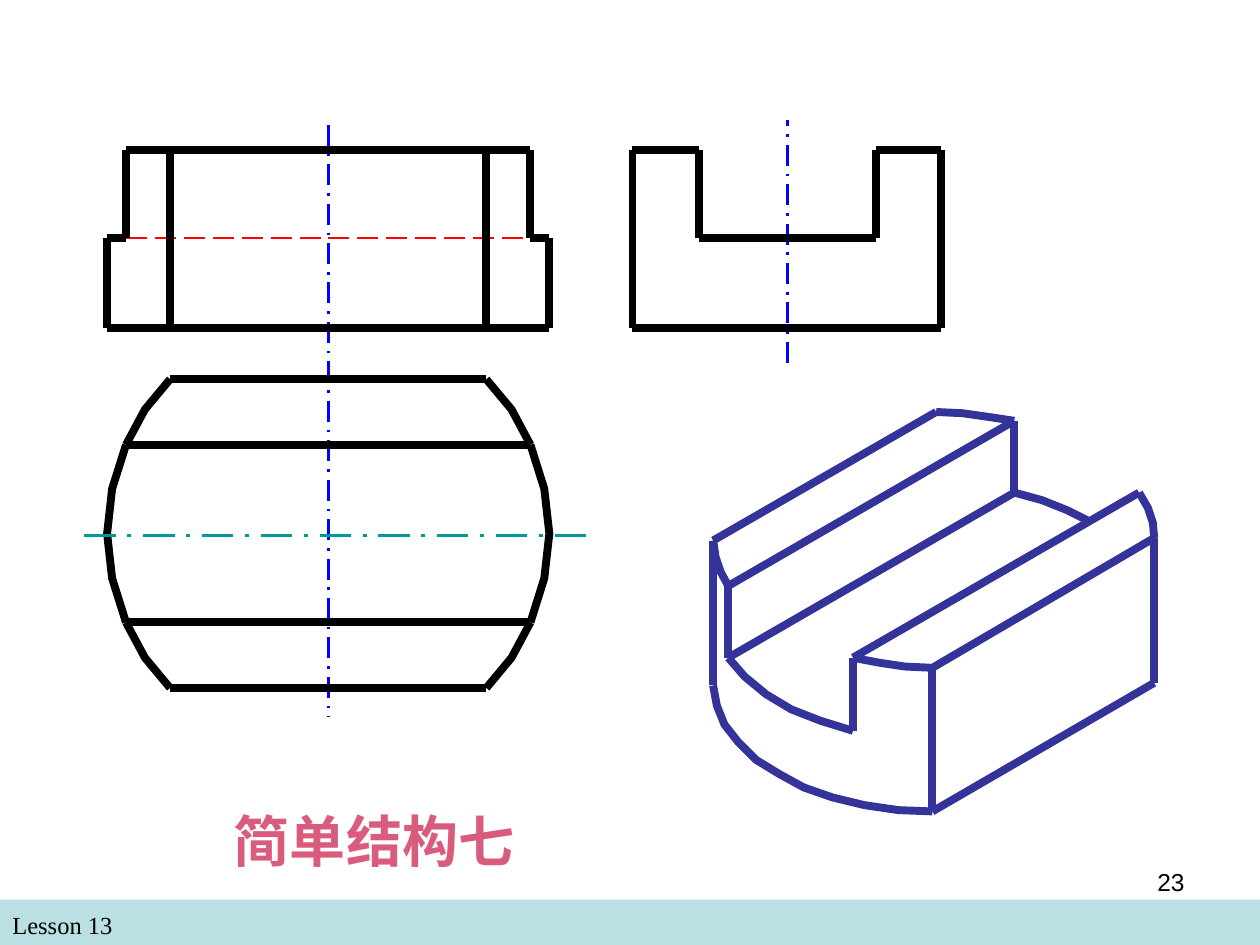
from lxml.etree import SubElement
from pptx import Presentation
from pptx.dml.color import RGBColor
from pptx.enum.dml import MSO_LINE
from pptx.enum.shapes import MSO_CONNECTOR, MSO_SHAPE
from pptx.enum.text import PP_ALIGN
from pptx.oxml.ns import qn
from pptx.util import Cm, Pt

COLORS = {
    "band": "BBE0E3", "text": "000000", "title": "DA5C7D", "outline": "000000",
    "solid": "333399", "axis": "0000FF", "hidden": "FF0000", "middle": "009999",
}
CM_PER_INCH = 2.54

SOLID_EDGES = [
    [(9.16, 5.42), (7.4, 6.44)],
    [(9.16, 4.27), (7.4, 5.3)],
    [(9.16, 5.42), (9.16, 4.27)],
    [(9.16, 4.27), (9.15, 4.15), (9.11, 4.03), (9.04, 3.91)],
    [(5.66, 4.29), (7.43, 3.27)],
    [(8.05, 3.34), (7.85, 3.31), (7.64, 3.28), (7.43, 3.27)],
    [(6.77, 5.22), (6.98, 5.26), (7.18, 5.29), (7.4, 5.3)],
    [(7.4, 6.44), (7.4, 5.3)],
    [(5.66, 5.44), (5.69, 5.6), (5.75, 5.75), (5.86, 5.89), (6, 6.03), (6.18, 6.14),
     (6.38, 6.25), (6.61, 6.33), (6.86, 6.39), (7.13, 6.43), (7.4, 6.44)],
    [(5.66, 5.44), (5.66, 4.29)],
    [(5.66, 4.29), (5.68, 4.42), (5.72, 4.54), (5.78, 4.65)],
    [(9.04, 3.91), (6.77, 5.22)],
    [(6.77, 5.22), (6.77, 5.8)],
    [(5.78, 4.65), (8.05, 3.34)],
    [(8.05, 3.34), (8.05, 3.91)],
    [(5.78, 5.22), (5.78, 4.65)],
    [(8.05, 3.91), (5.78, 5.22)],
    [(8.65, 4.14), (8.47, 4.05), (8.27, 3.97), (8.05, 3.91)],
    [(5.78, 5.22), (5.91, 5.37), (6.08, 5.51), (6.28, 5.63), (6.51, 5.72), (6.77, 5.8)],
]


def length(inches):
    """Convert inches to a length in centimetres."""
    return Cm(inches * CM_PER_INCH)


def color(name):
    """Return the named colour."""
    return RGBColor.from_string(COLORS[name])


def add_edge(group, points, color_name="outline", width=4.5, dash=None):
    """Draw a straight connector for two points, or an open outline for more."""
    corners = [(length(x), length(y)) for x, y in points]
    if len(corners) == 2:
        shape = group.shapes.add_connector(MSO_CONNECTOR.STRAIGHT, *corners[0], *corners[1])
        SubElement(shape._element.spPr, qn("a:effectLst"))
    else:
        builder = group.shapes.build_freeform(*corners[0])
        builder.add_line_segments(corners[1:], close=False)
        shape = builder.convert_to_shape()
        shape.shadow.inherit = False
        shape.fill.background()
    shape.line.color.rgb = color(color_name)
    shape.line.width = Pt(width)
    if dash is not None:
        shape.line.dash_style = dash


def mirror(points, across_x=None, across_y=None):
    """Reflect points across a vertical or a horizontal axis."""
    return [(x if across_x is None else 2 * across_x - x,
             y if across_y is None else 2 * across_y - y) for x, y in points]


def add_text(slide, box, text, size, font_name="Times New Roman",
             color_name="text", bold=False, alignment=PP_ALIGN.LEFT):
    """Add a one-paragraph text box."""
    shape = slide.shapes.add_textbox(*map(length, box))
    shape.text_frame.word_wrap = True
    paragraph = shape.text_frame.paragraphs[0]
    paragraph.alignment = alignment
    run = paragraph.add_run()
    run.text = text
    run.font.name = font_name
    run.font.size = Pt(size)
    run.font.bold = bold
    run.font.color.rgb = color(color_name)


def add_footer(slide):
    """Add the coloured band with the lesson name."""
    band = slide.shapes.add_shape(MSO_SHAPE.RECTANGLE, *map(length, (0, 7.14, 10, 0.36)))
    band.shadow.inherit = False
    band.fill.solid()
    band.fill.fore_color.rgb = color("band")
    band.line.fill.background()
    add_text(slide, (0, 7.17, 4.83, 0.34), "Lesson 13", 14)


def add_solid_view(slide):
    """Draw the isometric view of the part."""
    group = slide.shapes.add_group_shape()
    for points in SOLID_EDGES:
        add_edge(group, points, "solid")


def add_front_view(group, center, top, step, bottom):
    """Draw the front view, symmetric about its vertical axis."""
    outer, shoulder, inner = 0.85, 1, 1.35
    for y in (top, bottom):
        add_edge(group, [(inner, y), (2 * center - inner, y)])
    half = [
        [(outer, bottom), (inner, bottom)],
        [(inner, bottom), (inner, top)],
        [(shoulder, top), (inner, top)],
        [(shoulder, top), (shoulder, step)],
        [(outer, step), (shoulder, step)],
        [(outer, step), (outer, bottom)],
    ]
    add_edge(group, [(shoulder, step), (2 * center - shoulder, step)],
             "hidden", 1.5, MSO_LINE.LONG_DASH)
    for points in half:
        add_edge(group, points)
        add_edge(group, mirror(points, across_x=center))


def add_side_view(group, top, step, bottom):
    """Draw the side view with its open slot."""
    left, slot_left, slot_right, right = 5.02, 5.55, 6.95, 7.47
    outline = [(left, top), (slot_left, top), (slot_left, step), (slot_right, step),
               (slot_right, top), (right, top), (right, bottom), (left, bottom)]
    for start, end in zip(outline, outline[1:] + outline[:1]):
        add_edge(group, [start, end])


def add_top_view(group, center, middle):
    """Draw the top view, symmetric about both axes."""
    for x, y in ((1.35, 3.01), (1, 3.53)):
        points = [(x, y), (2 * center - x, y)]
        add_edge(group, points)
        add_edge(group, mirror(points, across_y=middle))
    corner = [(1.35, 3.01), (1.15, 3.25), (1, 3.53)]
    side = [(1, 3.53), (0.89, 3.88), (0.85, middle), (0.89, 4.59), (1, 4.94)]
    for points in (corner, mirror(corner, across_y=middle), side):
        add_edge(group, points)
        add_edge(group, mirror(points, across_x=center))


def add_projections(slide):
    """Draw the three projected views and their centre lines."""
    group = slide.shapes.add_group_shape()
    center = 2.605
    levels = (1.19, 1.89, 2.6)
    add_edge(group, [(center, 0.99), (center, 5.69)], "axis", 1.5, MSO_LINE.LONG_DASH_DOT)
    add_edge(group, [(6.25, 2.88), (6.25, 0.95)], "axis", 1.5, MSO_LINE.LONG_DASH_DOT)
    add_front_view(group, center, *levels)
    add_side_view(group, *levels)
    add_top_view(group, center, 4.235)
    add_edge(group, [(0.67, 4.25), (4.67, 4.25)], "middle", 2.25, MSO_LINE.LONG_DASH_DOT)


def main():
    """Build and save the slide."""
    presentation = Presentation()
    presentation.slide_width = Cm(25.4)
    presentation.slide_height = Cm(19.05)
    slide = presentation.slides.add_slide(presentation.slide_layouts[6])
    add_footer(slide)
    add_solid_view(slide)
    add_text(slide, (0.67, 6.35, 4.6, 0.64), "简单结构七", 32,
             color_name="title", bold=True, alignment=PP_ALIGN.CENTER)
    add_projections(slide)
    add_text(slide, (7.17, 6.83, 2.33, 0.52), "23", 14, "Arial", alignment=PP_ALIGN.RIGHT)
    presentation.save("out.pptx")


if __name__ == "__main__":
    main()
